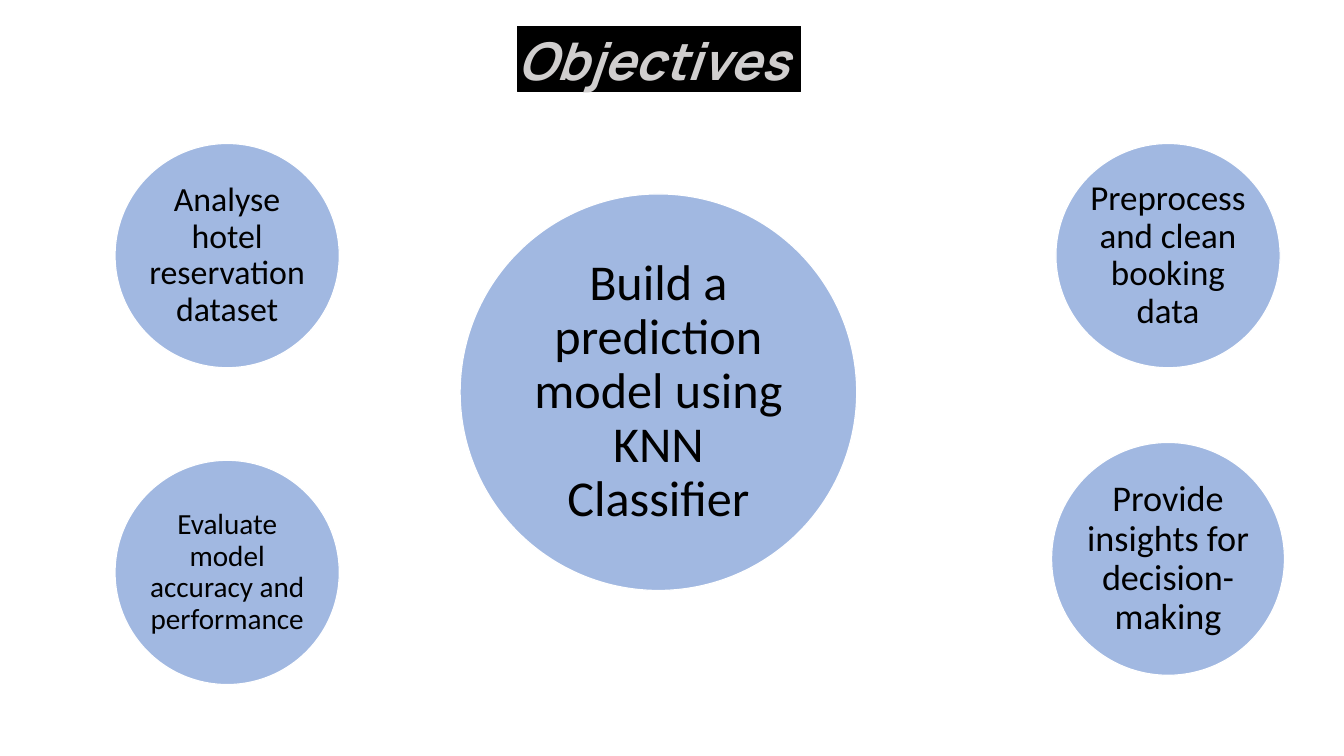
from lxml import etree
from pptx import Presentation
from pptx.dml.color import RGBColor
from pptx.enum.shapes import MSO_SHAPE
from pptx.enum.text import MSO_ANCHOR, PP_ALIGN
from pptx.oxml.ns import qn
from pptx.util import Cm, Pt

OVAL, RECT = MSO_SHAPE.OVAL, MSO_SHAPE.RECTANGLE
TOP, MIDDLE = MSO_ANCHOR.TOP, MSO_ANCHOR.MIDDLE
LEFT, CENTER = PP_ALIGN.LEFT, PP_ALIGN.CENTER

COLORS = {"black": "000000", "white": "FFFFFF", "blue": "4472C4", "gray": "D0CECE"}
TITLE = "Objectives"
TITLE_BOX = (15.65, 0.79, 8.56, 1.98)
WEST, MID, EAST = 6.87, 19.91, 35.32
HIGH = 7.73

# Goal, centre x, centre y, diameter (cm), text size (pt)
GOALS = [
    ("Analyse hotel reservation dataset", WEST, HIGH, 6.78, 29),
    ("Preprocess and clean booking data", EAST, HIGH, 6.78, 30),
    ("Build a prediction model using KNN Classifier", MID, 11.86, 11.99, 43),
    ("Evaluate model accuracy and performance", WEST, 17.31, 6.78, 25),
    ("Provide insights for decision-making", EAST, 16.9, 7.04, 31),
]


def color(name):
    return RGBColor.from_string(COLORS[name])


def add_box(slide, kind, box, fill, line):
    shape = slide.shapes.add_shape(kind, *(Cm(v) for v in box))
    shape.shadow.inherit = False
    shape.fill.solid()
    shape.fill.fore_color.rgb = color(fill)
    shape.line.color.rgb = color(line)
    shape.line.width = Pt(1)
    return shape


def write(shape, text, font, size, tint, align, anchor, wrap=True):
    """Set one paragraph without insets and return it."""
    frame = shape.text_frame
    frame.text = text
    frame.word_wrap = wrap
    frame.vertical_anchor = anchor
    frame.margin_left = frame.margin_right = 0
    frame.margin_top = frame.margin_bottom = 0
    para = frame.paragraphs[0]
    para.alignment = align
    style = para.runs[0].font
    style.name, style.size = font, Pt(size)
    style.color.rgb = color(tint)
    return para


def fade(shape, percent):
    """Make the solid fill partly transparent."""
    tone = shape.fill._xPr.find(qn("a:solidFill"))[0]
    etree.SubElement(tone, qn("a:alpha")).set("val", str(percent * 1000))


def main():
    deck = Presentation()
    deck.slide_width, deck.slide_height = Cm(40.64), Cm(22.86)
    slide = deck.slides.add_slide(deck.slide_layouts[6])

    banner = add_box(slide, RECT, TITLE_BOX, "black", "black")
    para = write(banner, TITLE, "Manrope", 44.5, "gray", LEFT, TOP, wrap=False)
    para.line_spacing = Pt(55.5)
    para.runs[0].font.bold = para.runs[0].font.italic = True

    for text, x, y, size, points in GOALS:
        box = (x - size / 2, y - size / 2, size, size)
        circle = add_box(slide, OVAL, box, "blue", "white")
        fade(circle, 50)
        para = write(circle, text, "Calibri", points, "black", CENTER, MIDDLE)
        para.line_spacing = 0.9

    deck.save("out.pptx")


if __name__ == "__main__":
    main()
